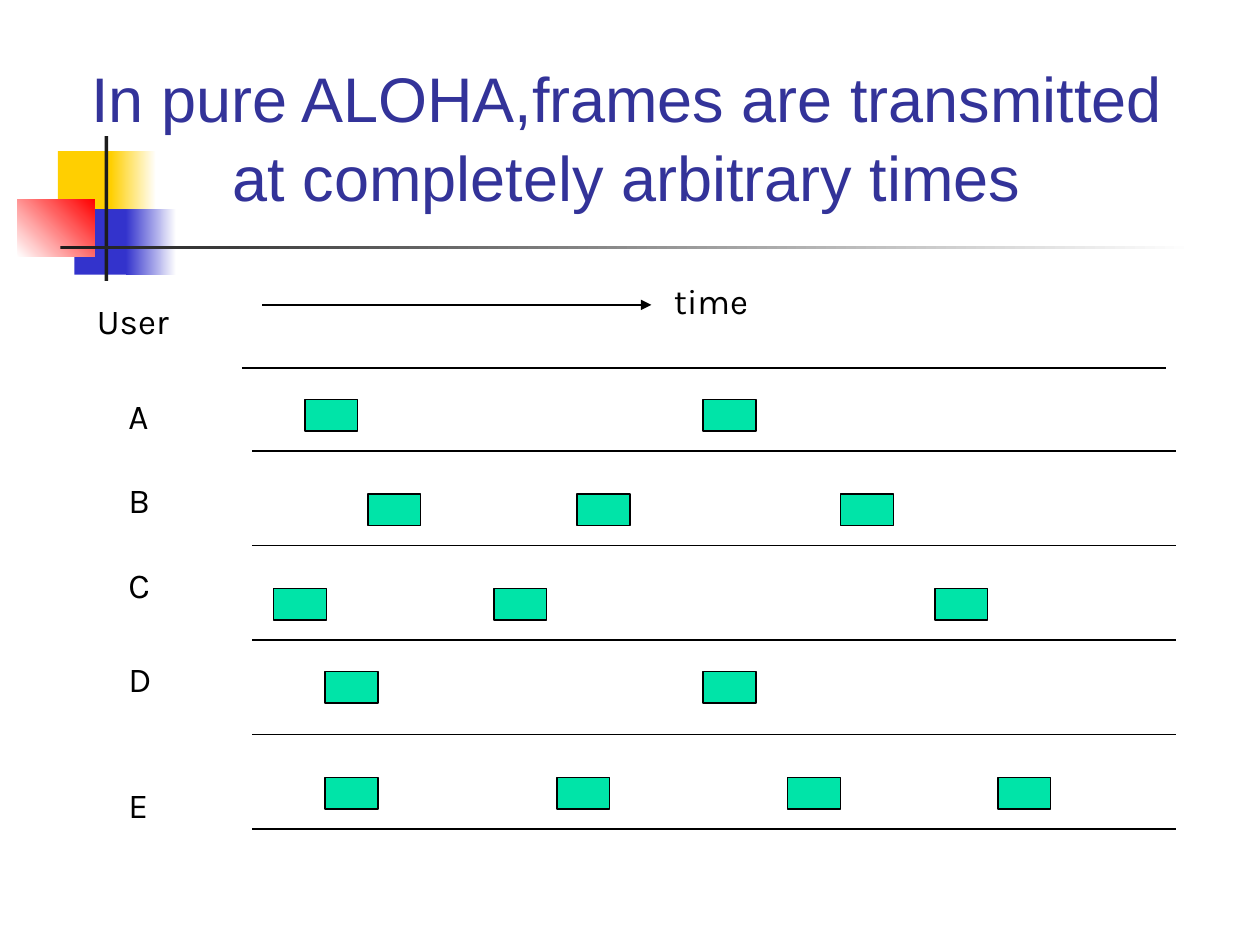
"""Build a slide showing frames sent at arbitrary times in pure ALOHA."""
from lxml.etree import SubElement
from pptx import Presentation
from pptx.dml.color import RGBColor
from pptx.enum.shapes import MSO_CONNECTOR, MSO_SHAPE
from pptx.enum.text import MSO_ANCHOR, MSO_AUTO_SIZE, PP_ALIGN
from pptx.oxml.ns import qn
from pptx.util import Inches, Pt

COLORS = {
    "yellow": "FFCF01", "blue": "3333CC", "red": "FF0000", "dark": "1C1C1C",
    "white": "FFFFFF", "black": "000000", "title": "333399", "frame": "00E4A8",
}
FORMATS = {
    "title": {"name": "Arial", "size": Pt(36)},
    "label": {"name": "Karla", "size": Pt(20)},
}
TITLE_FRAME = {
    "word_wrap": True, "auto_size": MSO_AUTO_SIZE.NONE,
    "vertical_anchor": MSO_ANCHOR.BOTTOM,
}
TITLE_PARAGRAPH = {"alignment": PP_ALIGN.CENTER, "line_spacing": 1.05}
DECORATION = [
    ((0.46, 1.2, 0.48, 0.52), ["yellow"], 0),
    ((0.88, 1.2, 0.36, 0.52), ["yellow", "white"], 0),
    ((0.59, 1.66, 0.46, 0.52), ["blue"], 0),
    ((1, 1.66, 0.4, 0.52), ["blue", "white"], 0),
    ((0.14, 1.58, 0.61, 0.46), ["white", "red"], 45),
    ((0.83, 1.08, 0.03, 1.15), ["dark"], 0),
    ((0.48, 1.95, 9, 0.03), ["dark", "white"], 0),
]
USERS = [
    ("A", 3.08, 3.17, [2.42, 5.58]),
    ("B", 3.75, 3.92, [2.92, 4.58, 6.67]),
    ("C", 4.42, 4.67, [2.17, 3.92, 7.42]),
    ("D", 5.17, 5.33, [2.58, 5.58]),
    ("E", 6.17, 6.17, [2.58, 4.42, 6.25, 7.92]),
]
FIRST_BASELINE, ROW_HEIGHT = 3.58, 0.75


def color(name):
    """Return the named colour."""
    return RGBColor.from_string(COLORS[name])


def apply(target, values):
    """Set each attribute of the target."""
    for name, value in values.items():
        setattr(target, name, value)


class SlideBuilder:
    """Hold the style and the current slide."""

    def __init__(self, slide):
        """Keep the slide to draw on."""
        self.slide = slide

    def style_font(self, font, kind, color_name):
        """Format a font by its kind."""
        apply(font, FORMATS[kind])
        font.color.rgb = color(color_name)

    def title(self, text, box):
        """Fill and place the title placeholder."""
        shape = self.slide.shapes.title
        apply(shape, dict(zip(("left", "top", "width", "height"), map(Inches, box))))
        shape.text_frame.text = text
        apply(shape.text_frame, TITLE_FRAME)
        paragraph = shape.text_frame.paragraphs[0]
        apply(paragraph, TITLE_PARAGRAPH)
        self.style_font(paragraph.font, "title", "title")

    def label(self, text, left, top, width):
        """Add a text label."""
        shape = self.slide.shapes.add_textbox(*map(Inches, (left, top, width, 0.44)))
        shape.text_frame.word_wrap = True
        paragraph = shape.text_frame.paragraphs[0]
        paragraph.text = text
        self.style_font(paragraph.font, "label", "black")

    def rectangle(self, box, fills, angle=0, outline=None):
        """Add a rectangle with a solid or gradient fill."""
        shape = self.slide.shapes.add_shape(MSO_SHAPE.RECTANGLE, *map(Inches, box))
        shape.shadow.inherit = False
        if len(fills) == 1:
            shape.fill.solid()
            shape.fill.fore_color.rgb = color(fills[0])
        else:
            shape.fill.gradient()
            shape.fill.gradient_angle = angle
            for stop, name in zip(shape.fill.gradient_stops, fills):
                stop.color.rgb = color(name)
        if outline:
            shape.line.color.rgb = color(outline)
            shape.line.width = Pt(0.75)
        else:
            shape.line.fill.background()

    def line(self, left, right, top, arrow=False):
        """Add a horizontal line, with an arrowhead if wanted."""
        connector = self.slide.shapes.add_connector(
            MSO_CONNECTOR.STRAIGHT, *map(Inches, (left, top, right, top)))
        connector.line.color.rgb = color("black")
        connector.line.width = Pt(0.75)
        if arrow:
            outline = connector.line._get_or_add_ln()
            SubElement(outline, qn("a:tailEnd"), type="triangle")
        SubElement(connector._element.spPr, qn("a:effectLst"))


def main():
    """Build and save the slide."""
    presentation = Presentation()
    presentation.slide_width, presentation.slide_height = Inches(10), Inches(7.5)
    builder = SlideBuilder(presentation.slides.add_slide(presentation.slide_layouts[5]))
    for box, fills, angle in DECORATION:
        builder.rectangle(box, fills, angle)
    builder.title("In pure ALOHA,frames are transmitted at completely arbitrary times",
                  (0.42, 0.5, 9.11, 1.25))
    builder.line(2.08, 5.17, 2.42, arrow=True)
    builder.label("time", 5.25, 2.17, 1.17)
    builder.label("User", 0.67, 2.33, 0.83)
    builder.line(1.92, 9.25, 2.92)
    for row, (user, label_top, frame_top, frame_lefts) in enumerate(USERS):
        builder.line(2, 9.33, FIRST_BASELINE + row * ROW_HEIGHT)
        builder.label(user, 0.92, label_top, 0.58)
        for left in frame_lefts:
            builder.rectangle((left, frame_top, 0.42, 0.25), ["frame"], outline="black")
    presentation.save("out.pptx")


if __name__ == "__main__":
    main()
